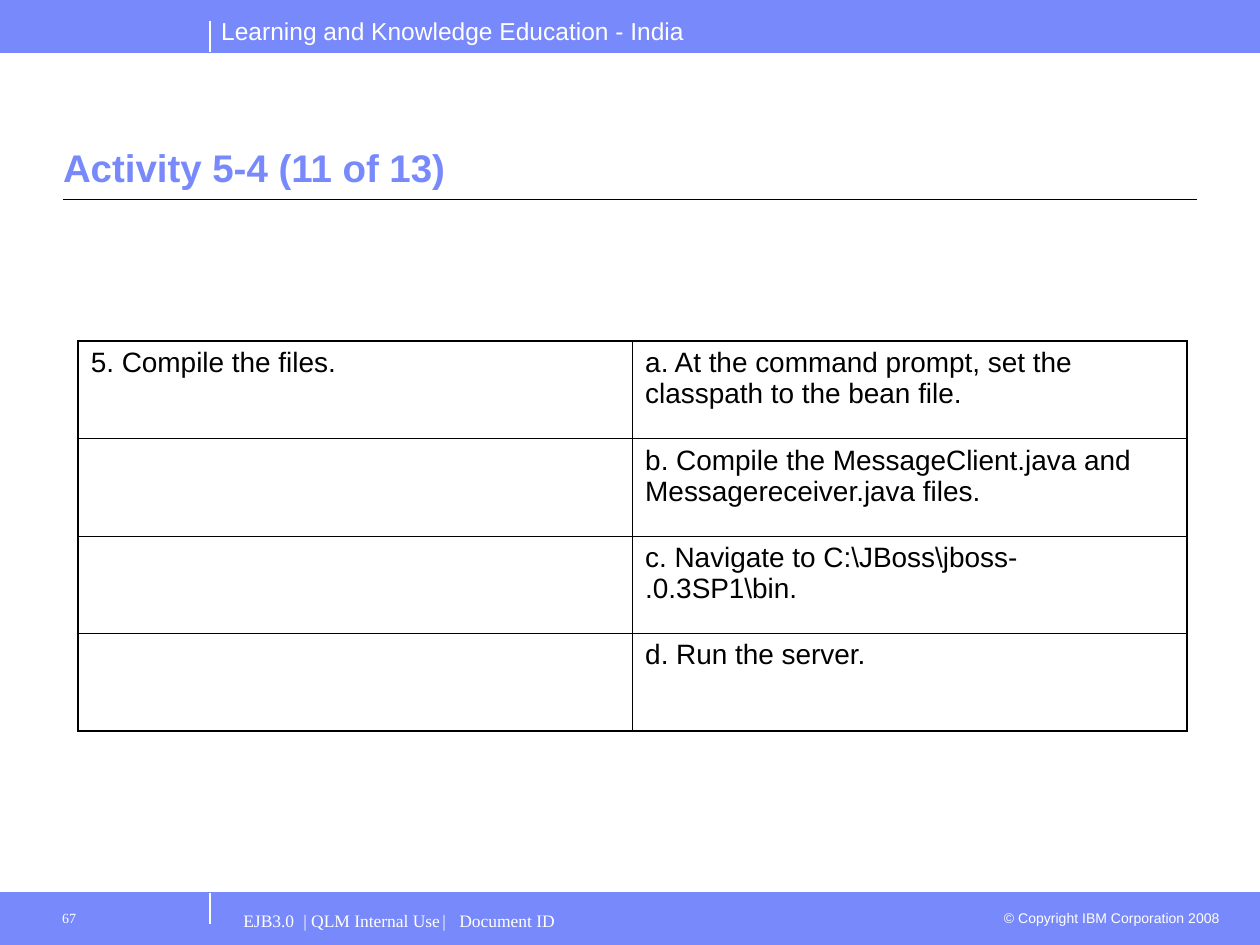
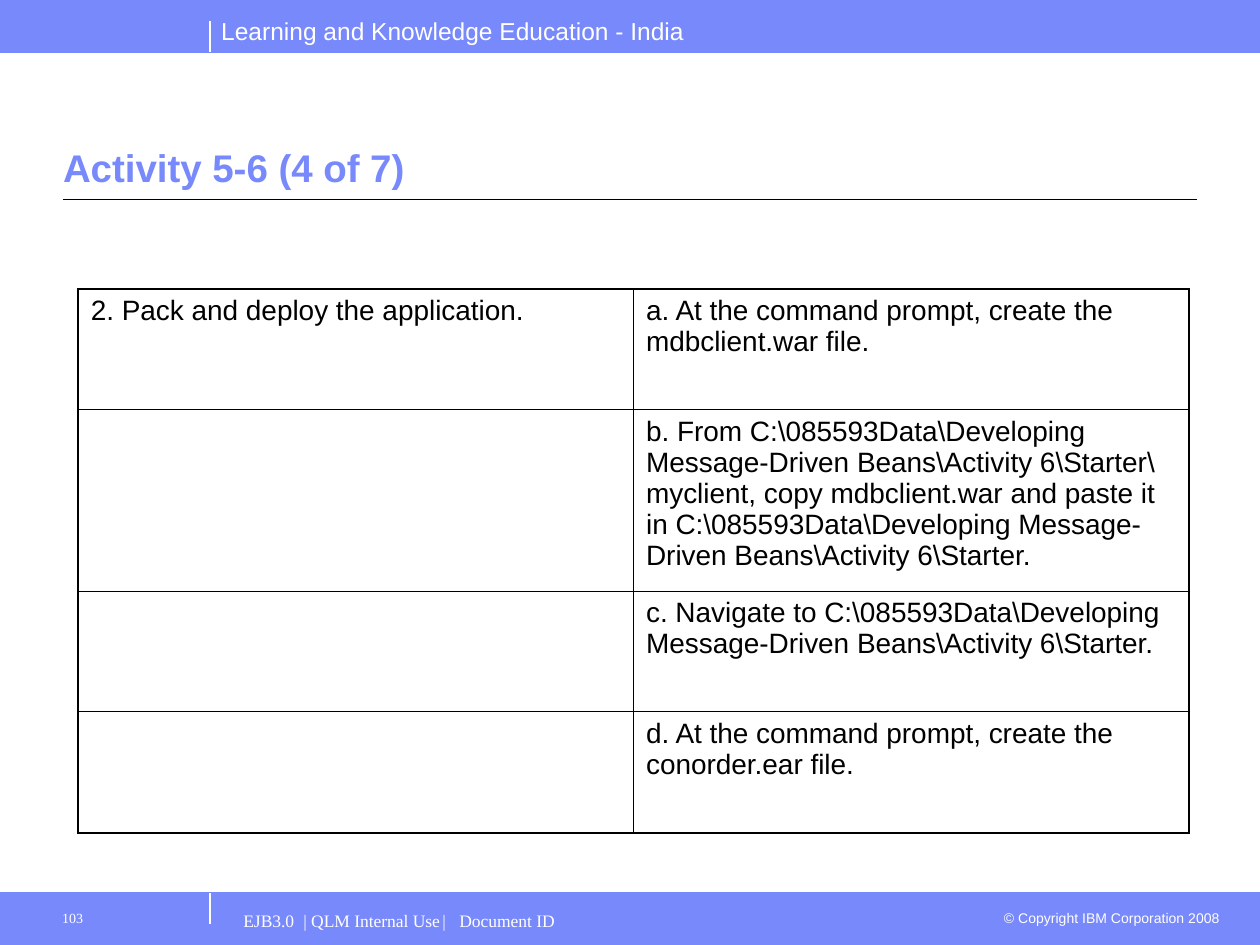
"""Build two activity slides with step tables between a header and a footer band."""

from dataclasses import dataclass
from typing import Optional

import lxml.etree
import pptx
import pptx.dml.color
import pptx.enum.shapes
import pptx.enum.text
import pptx.oxml.ns
import pptx.presentation
import pptx.slide
import pptx.table
import pptx.text.text
import pptx.util

Pt = pptx.util.Pt
Align = pptx.enum.text.PP_ALIGN
qn = pptx.oxml.ns.qn

PERIWINKLE = pptx.dml.color.RGBColor(0x78, 0x89, 0xFB)
WHITE = pptx.dml.color.RGBColor(0xFF, 0xFF, 0xFF)
BLACK = pptx.dml.color.RGBColor(0x00, 0x00, 0x00)

SANS = "Arial"
SERIF = "Times New Roman"

SLIDE_WIDTH = 720
SLIDE_HEIGHT = 540
BAND_HEIGHT = 30
FOOTER_TOP = SLIDE_HEIGHT - BAND_HEIGHT
DIVIDER_X = 120
DIVIDER_LENGTH = 18
MARGIN = 36
TITLE_RULE_Y = 114
TABLE_LEFT = 44.7
OUTER_BORDER = 1.08
INNER_BORDER = 0.45


@dataclass(frozen=True)
class Label:
    """A line of text on a band; lengths in points."""

    text: str
    left: float
    top: float
    width: float
    height: float
    size: float
    font: str
    inset_left: float = 7.2
    inset_top: float = 3.6
    align: Align = Align.LEFT
    tabs: tuple[float, ...] = ()


@dataclass(frozen=True)
class Rule:
    """A straight line; lengths in points."""

    x1: float
    y1: float
    x2: float
    y2: float
    color: pptx.dml.color.RGBColor
    weight: float


@dataclass(frozen=True)
class Activity:
    """One slide: a task and its lettered steps."""

    title: str
    page: str
    task: str
    steps: tuple[str, ...]
    table_top: float
    column_width: float
    row_heights: tuple[float, ...]


BAND_TOPS = (FOOTER_TOP, 0)

RULES = (
    Rule(DIVIDER_X, FOOTER_TOP, DIVIDER_X, FOOTER_TOP + DIVIDER_LENGTH, WHITE, 0.75),
    Rule(0, BAND_HEIGHT, SLIDE_WIDTH, BAND_HEIGHT, PERIWINKLE, 0.5),
    Rule(0, FOOTER_TOP, SLIDE_WIDTH, FOOTER_TOP, PERIWINKLE, 0.5),
    Rule(MARGIN, TITLE_RULE_Y, SLIDE_WIDTH - MARGIN, TITLE_RULE_Y, BLACK, 0.75),
    Rule(DIVIDER_X, BAND_HEIGHT - DIVIDER_LENGTH, DIVIDER_X, BAND_HEIGHT, WHITE, 0.75),
)

BAND_LABELS = (
    Label("Learning and Knowledge Education - India", 119.3, 5.8, 290, 24.5, 14, SANS),
    Label("© Copyright IBM Corporation 2008", 563.8, 516.2, 140.4, 17.3, 8, SANS,
          align=Align.RIGHT),
    Label("EJB3.0\t| QLM Internal Use\t|\tDocument ID", 132, 514.8, 432, 25.2, 10, SERIF,
          inset_top=5, tabs=(34.3, 113.7, 123.4)),
)

ACTIVITIES = (
    Activity(
        title="Activity 5-4 (11 of 13)",
        page="67",
        task="5. Compile the files.",
        steps=(
            "a. At the command prompt, set the classpath to the bean file.",
            "b. Compile the MessageClient.java and Messagereceiver.java files.",
            "c. Navigate to C:\\JBoss\\jboss- .0.3SP1\\bin.",
            "d. Run the server.",
        ),
        table_top=195,
        column_width=316.8,
        row_heights=(55.65,) * 4,
    ),
    Activity(
        title="Activity 5-6 (4 of 7)",
        page="103",
        task="2. Pack and deploy the application.",
        steps=(
            "a. At the command prompt, create the mdbclient.war file.",
            "b. From C:\\085593Data\\Developing Message-Driven Beans\\Activity 6\\Starter\\ "
            "myclient, copy mdbclient.war and paste it in C:\\085593Data\\Developing "
            "Message-Driven Beans\\Activity 6\\Starter.",
            "c. Navigate to C:\\085593Data\\Developing Message-Driven Beans\\Activity 6\\Starter.",
            "d. At the command prompt, create the conorder.ear file.",
        ),
        table_top=165,
        column_width=317.3,
        row_heights=(69.1, 103.6, 69.1, 69.1),
    ),
)


def style_text(paragraph: pptx.text.text._Paragraph, font: str, size: float,
               color: pptx.dml.color.RGBColor, bold: bool = False) -> None:
    """Format every run of a paragraph."""
    for run in paragraph.runs:
        run.font.name = font
        run.font.size = Pt(size)
        run.font.bold = bold
        run.font.color.rgb = color


def set_insets(frame: pptx.text.text.TextFrame, left: float, top: float, right: float) -> None:
    """Set the inner margins of a text frame that wraps and keeps its size."""
    frame.margin_left, frame.margin_top = Pt(left), Pt(top)
    frame.margin_right, frame.margin_bottom = Pt(right), Pt(3.6)
    frame.word_wrap = True
    frame.auto_size = pptx.enum.text.MSO_AUTO_SIZE.NONE


def add_band(slide: pptx.slide.Slide, top: float) -> None:
    """Draw a full-width coloured band."""
    band = slide.shapes.add_shape(
        pptx.enum.shapes.MSO_SHAPE.RECTANGLE, Pt(0), Pt(top), Pt(SLIDE_WIDTH), Pt(BAND_HEIGHT))
    band.shadow.inherit = False
    band.fill.solid()
    band.fill.fore_color.rgb = PERIWINKLE
    band.line.color.rgb = PERIWINKLE
    band.line.width = Pt(0.75)


def add_rule(slide: pptx.slide.Slide, rule: Rule) -> None:
    """Draw a straight line without a shadow."""
    connector = slide.shapes.add_connector(
        pptx.enum.shapes.MSO_CONNECTOR.STRAIGHT,
        Pt(rule.x1), Pt(rule.y1), Pt(rule.x2), Pt(rule.y2))
    connector.line.color.rgb = rule.color
    connector.line.width = Pt(rule.weight)
    lxml.etree.SubElement(connector._element.spPr, qn("a:effectLst"))


def add_label(slide: pptx.slide.Slide, label: Label) -> None:
    """Place a white line of text."""
    box = slide.shapes.add_textbox(
        Pt(label.left), Pt(label.top), Pt(label.width), Pt(label.height))
    set_insets(box.text_frame, label.inset_left, label.inset_top, 7.2)
    paragraph = box.text_frame.paragraphs[0]
    paragraph.text = label.text
    paragraph.alignment = label.align
    if label.tabs:
        stops = lxml.etree.SubElement(paragraph._p.get_or_add_pPr(), qn("a:tabLst"))
        for position in label.tabs:
            lxml.etree.SubElement(stops, qn("a:tab"), pos=str(Pt(position)), algn="l")
    style_text(paragraph, label.font, label.size, WHITE)


def set_title(slide: pptx.slide.Slide, text: str) -> None:
    """Fill and place the title placeholder above its rule."""
    title = slide.shapes.title
    title.left, title.top = Pt(MARGIN), Pt(46)
    title.width, title.height = Pt(SLIDE_WIDTH - 2 * MARGIN), Pt(66.3)
    set_insets(title.text_frame, 0, 3.6, 0)
    title.text_frame.vertical_anchor = pptx.enum.text.MSO_ANCHOR.BOTTOM
    title.text_frame.text = text
    paragraph = title.text_frame.paragraphs[0]
    paragraph.alignment = Align.LEFT
    style_text(paragraph, SANS, 22, PERIWINKLE, bold=True)


def set_borders(cell: pptx.table._Cell, outer_sides: dict[str, bool]) -> None:
    """Draw the four cell borders, heavier on the outside of the table."""
    properties = cell._tc.get_or_add_tcPr()
    for side, is_outer in outer_sides.items():
        weight = OUTER_BORDER if is_outer else INNER_BORDER
        border = lxml.etree.SubElement(properties, qn(f"a:ln{side}"), w=str(Pt(weight)))
        fill = lxml.etree.SubElement(border, qn("a:solidFill"))
        lxml.etree.SubElement(fill, qn("a:srgbClr"), val=str(BLACK))


def fill_cell(cell: pptx.table._Cell, text: Optional[str]) -> None:
    """Clear the cell background and write its text, if any."""
    cell.fill.background()
    paragraph = cell.text_frame.paragraphs[0]
    if text:
        paragraph.text = text
        paragraph.space_after = Pt(10)
        style_text(paragraph, SANS, 16, BLACK)


def add_steps_table(slide: pptx.slide.Slide, activity: Activity) -> None:
    """Draw the task on the left and one step per row on the right."""
    last_row = len(activity.steps) - 1
    table = slide.shapes.add_table(
        len(activity.steps), 2, Pt(TABLE_LEFT), Pt(activity.table_top),
        Pt(2 * activity.column_width), Pt(sum(activity.row_heights))).table
    table.first_row = False
    table.horz_banding = False
    for column in table.columns:
        column.width = Pt(activity.column_width)
    for row, (step, height) in enumerate(zip(activity.steps, activity.row_heights)):
        table.rows[row].height = Pt(height)
        task = activity.task if row == 0 else None
        for column, text in enumerate((task, step)):
            cell = table.cell(row, column)
            set_borders(cell, {"L": column == 0, "R": column == 1,
                               "T": row == 0, "B": row == last_row})
            fill_cell(cell, text)


def add_activity_slide(deck: pptx.presentation.Presentation, activity: Activity) -> None:
    """Add one slide with the shared bands, its title and its table."""
    slide = deck.slides.add_slide(deck.slide_layouts.get_by_name("Title Only"))
    for top in BAND_TOPS:
        add_band(slide, top)
    for rule in RULES:
        add_rule(slide, rule)
    set_title(slide, activity.title)
    add_steps_table(slide, activity)
    page_label = Label(activity.page, 24, 514.8, 96, 25.2, 8, SERIF,
                       inset_left=11.5, inset_top=5)
    for label in (*BAND_LABELS, page_label):
        add_label(slide, label)


def main() -> None:
    """Build and save the presentation."""
    deck = pptx.Presentation()
    deck.slide_width, deck.slide_height = Pt(SLIDE_WIDTH), Pt(SLIDE_HEIGHT)
    for activity in ACTIVITIES:
        add_activity_slide(deck, activity)
    deck.save("out.pptx")


if __name__ == "__main__":
    main()
